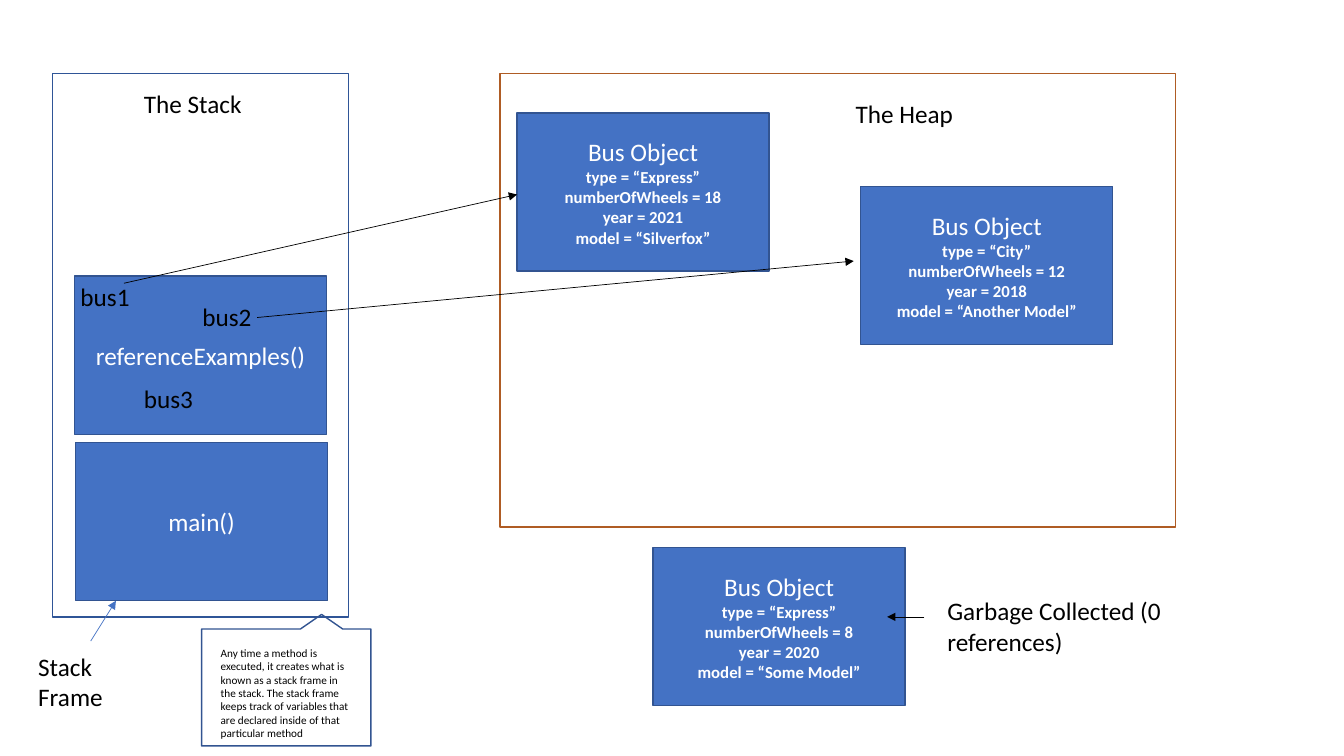
from lxml.etree import SubElement
from pptx import Presentation
from pptx.dml.color import RGBColor
from pptx.enum.shapes import MSO_CONNECTOR, MSO_SHAPE
from pptx.enum.text import MSO_ANCHOR, PP_ALIGN
from pptx.oxml.ns import qn
from pptx.util import Inches, Pt

BLACK = RGBColor(0, 0, 0)
WHITE = RGBColor(0xFF, 0xFF, 0xFF)
BLUE = RGBColor(0x44, 0x72, 0xC4)
EDGE = RGBColor(0x32, 0x54, 0x91)
STACK_EDGE = RGBColor(0x2F, 0x55, 0x97)
HEAP_EDGE = RGBColor(0xAF, 0x5C, 0x24)

CELL = Inches(1 / 6)  # square grid cell: 80 columns by 45 rows
COLS, ROWS = 80, 45
FRAME_W, FRAME_H = 15, 9.42
LINE_H = 2.4  # height of a one-line label


def grid(*cells):
    """Convert grid cells to slide lengths."""
    return [round(n * CELL) for n in cells]


class Diagram:
    """Holds the style and the slide being drawn."""

    font = "Calibri"
    size, small, tiny = 18, 12, 8

    def __init__(self, slide):
        """Draw on the given slide."""
        self.shapes = slide.shapes

    def style(self, p, size, color, bold=False):
        """Format every run of a paragraph."""
        for r in p.runs:
            r.font.name, r.font.size = self.font, Pt(size)
            r.font.bold, r.font.color.rgb = bold, color

    def outline(self, x, y, w, h, color, kind=MSO_SHAPE.RECTANGLE):
        """Add an unfilled shape with a thin edge."""
        sp = self.shapes.add_shape(kind, *grid(x, y, w, h))
        sp.shadow.inherit = False
        sp.fill.background()
        sp.line.color.rgb, sp.line.width = color, Pt(1)
        return sp

    def box(self, x, y, title, *fields):
        """Add a blue box with a title and bold field lines."""
        sp = self.outline(x, y, FRAME_W, FRAME_H, EDGE)
        sp.fill.solid()
        sp.fill.fore_color.rgb = BLUE
        tf = sp.text_frame
        tf.vertical_anchor = MSO_ANCHOR.MIDDLE
        tf.text = "\n".join((title, *fields))
        for i, p in enumerate(tf.paragraphs):
            p.alignment = PP_ALIGN.CENTER
            self.style(p, self.small if i else self.size, WHITE, i > 0)

    def bus(self, x, y, kind, wheels, year, model):
        """Add a bus object with its field values."""
        self.box(x, y, "Bus Object", f"type = “{kind}”",
                 f"numberOfWheels = {wheels}", f"year = {year}",
                 f"model = “{model}”")

    def label(self, x, y, w, text, h=LINE_H, size=size):
        """Add wrapped black text."""
        tf = self.shapes.add_textbox(*grid(x, y, w, h)).text_frame
        tf.word_wrap = True
        tf.text = text
        self.style(tf.paragraphs[0], size, BLACK)

    def arrow(self, x1, y1, x2, y2, color=BLACK):
        """Add a thin arrow from the first point to the second."""
        cx = self.shapes.add_connector(MSO_CONNECTOR.STRAIGHT,
                                       *grid(x1, y1, x2, y2))
        cx.line.color.rgb, cx.line.width = color, Pt(0.5)
        SubElement(cx.line._get_or_add_ln(), qn("a:tailEnd"), type="triangle")
        SubElement(cx._element.spPr, qn("a:effectLst"))


prs = Presentation()
prs.slide_width, prs.slide_height = grid(COLS, ROWS)
d = Diagram(prs.slides.add_slide(prs.slide_layouts[6]))

# Memory areas
d.outline(29.76, 4.38, 40.2, 27, HEAP_EDGE)
d.label(50.34, 5.58, 15.12, "The Heap")
d.outline(3.12, 4.38, 17.64, 32.34, STACK_EDGE)
d.label(7.98, 4.98, 9.06, "The Stack")

# Stack frames and heap objects
d.box(4.5, 26.34, "main()")
d.box(4.44, 16.44, "referenceExamples()")
for bus in [(30.78, 6.72, "Express", 18, 2021, "Silverfox"),
            (38.88, 32.58, "Express", 8, 2020, "Some Model"),
            (51.24, 11.1, "City", 12, 2018, "Another Model")]:
    d.bus(*bus)

# Explanation of a stack frame
callout = d.outline(12, 37.44, 10.08, 6.96, EDGE,
                    MSO_SHAPE.RECTANGULAR_CALLOUT)
callout.rotation = 180
d.label(12.54, 38.16, 9.12,
        "Any time a method is executed, it creates what is known as a stack "
        "frame in the stack. The stack frame keeps track of variables that "
        "are declared inside of that particular method", 6.24, d.tiny)
d.label(1.68, 38.46, 5.64, "Stack Frame", 4.26)
d.arrow(5.4, 38.16, 6.9, 35.76, BLUE)

# References
for x, y, w, name in [(4.2, 16.44, 5.88, "bus1"),
                      (11.46, 17.64, 4.68, "bus2"),
                      (7.98, 22.5, 5.16, "bus3")]:
    d.label(x, y, w, name)
d.arrow(7.38, 16.86, 30.78, 11.58)
d.arrow(15.3, 18.9, 50.82, 15.54)
d.label(55.8, 35.16, 14.76, "Garbage Collected (0 references)", 4.26)
d.arrow(55.02, 36.72, 52.8, 36.72)

prs.save("out.pptx")
